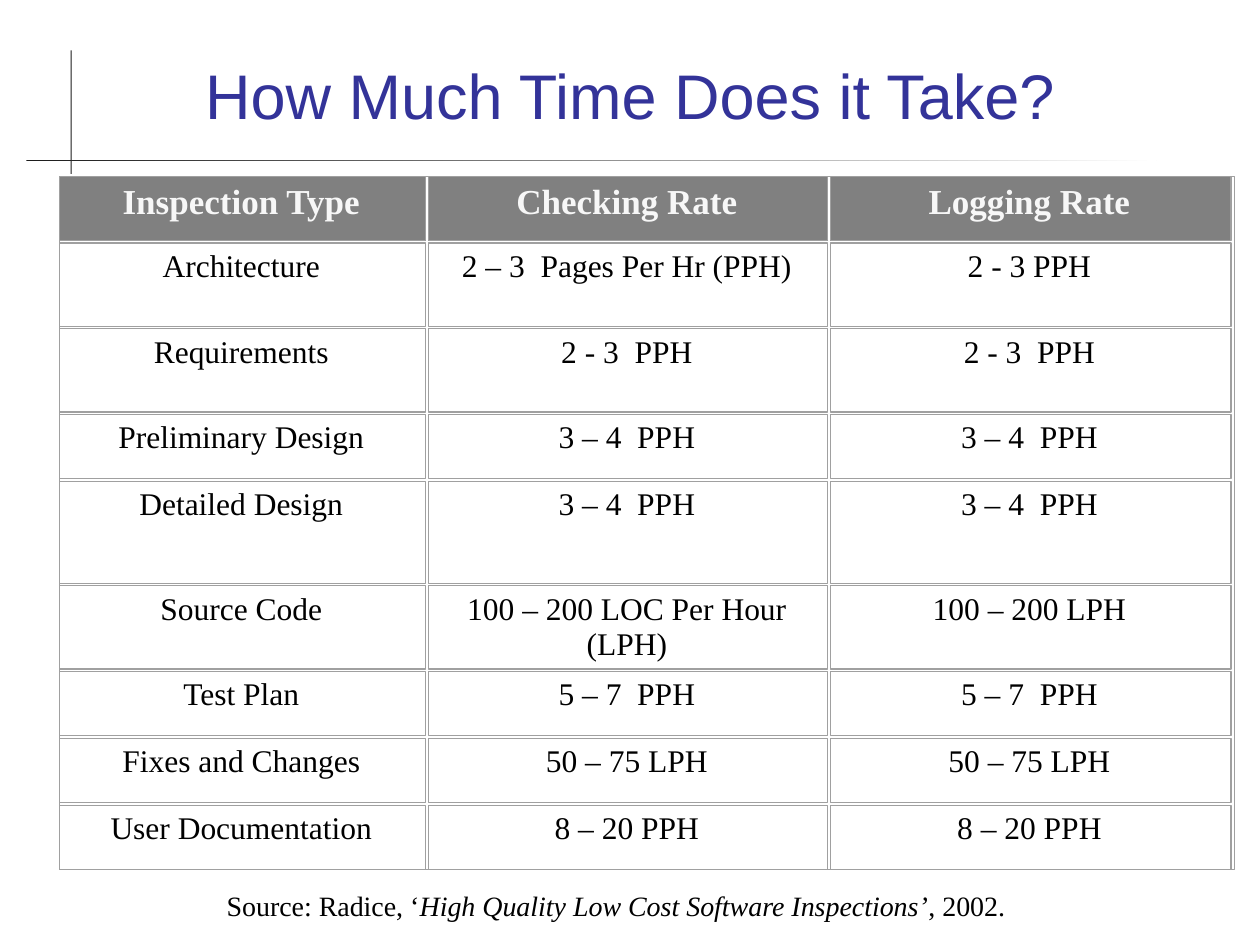
from typing import NamedTuple

from pptx import Presentation
from pptx.dml.color import RGBColor
from pptx.enum.shapes import MSO_SHAPE as Shape
from pptx.enum.text import MSO_ANCHOR as Anchor, MSO_AUTO_SIZE as Fit, PP_ALIGN as Align
from pptx.util import Inches, Pt

NAVY = RGBColor(0x33, 0x33, 0x99)
INK = RGBColor(0x1C, 0x1C, 0x1C)
BLACK = RGBColor(0, 0, 0)
WHITE = RGBColor(0xFF, 0xFF, 0xFF)
PALE = RGBColor(0xF7, 0xF7, 0xF7)
GRAY = RGBColor(0x80, 0x80, 0x80)
EDGE = RGBColor(0xA0, 0xA0, 0xA0)
SANS, SERIF = "Arial", "Times New Roman"

LEFT, TOP, GAP = 0.46, 1.39, 0.02
WIDTHS = (2.93, 3.19, 3.2)


class Row(NamedTuple):
    height: float
    cells: tuple[str, str, str]


class Box(NamedTuple):
    left: float
    top: float
    width: float
    height: float


ROWS = (
    Row(0.53, ("Inspection Type", "Checking Rate", "Logging Rate")),
    Row(0.68, ("Architecture", "2 – 3  Pages Per Hr (PPH)", "2 - 3 PPH")),
    Row(0.68, ("Requirements", "2 - 3  PPH", "2 - 3  PPH")),
    Row(0.53, ("Preliminary Design", "3 – 4  PPH", "3 – 4  PPH")),
    Row(0.83, ("Detailed Design", "3 – 4  PPH", "3 – 4  PPH")),
    Row(0.68, ("Source Code", "100 – 200 LOC Per Hour (LPH)", "100 – 200 LPH")),
    Row(0.53, ("Test Plan", "5 – 7  PPH", "5 – 7  PPH")),
    Row(0.53, ("Fixes and Changes", "50 – 75 LPH", "50 – 75 LPH")),
    Row(0.53, ("User Documentation", "8 – 20 PPH", "8 – 20 PPH")),
)
MARGINS = {"margin_left": Inches(0.2), "margin_right": Inches(0.22),
           "margin_top": Inches(0.06), "margin_bottom": Inches(0.03),
           "vertical_anchor": Anchor.TOP}


def place(box: Box) -> tuple:
    return tuple(Inches(v) for v in box)


def style(font, color: RGBColor, **values) -> None:
    for name, value in values.items():
        setattr(font, name, value)
    font.color.rgb = color


def add_bar(slide, box: Box):
    bar = slide.shapes.add_shape(Shape.RECTANGLE, *place(box))
    bar.shadow.inherit = False
    bar.line.fill.background()
    bar.fill.solid()
    bar.fill.fore_color.rgb = INK
    return bar


def add_frame(slide, box: Box) -> None:
    frame = slide.shapes.add_shape(Shape.RECTANGLE, *place(box))
    frame.shadow.inherit = False
    frame.fill.background()
    frame.line.color.rgb = EDGE
    frame.line.width = Pt(0.75)


def fill_cell(cell, text: str, head: bool) -> None:
    for name, value in MARGINS.items():
        setattr(cell, name, value)
    cell.fill.solid()
    cell.fill.fore_color.rgb = GRAY if head else WHITE
    para = cell.text_frame.paragraphs[0]
    para.alignment = Align.CENTER
    run = para.add_run()
    run.text = text
    style(run.font, PALE if head else BLACK, name=SERIF,
          size=Pt(20 if head else 18), bold=head)


def add_rates(slide) -> None:
    total = Box(LEFT, TOP, sum(WIDTHS), sum(row.height for row in ROWS))
    table = slide.shapes.add_table(len(ROWS), len(WIDTHS), *place(total)).table
    table.first_row = table.horz_banding = False
    for col, width in zip(table.columns, WIDTHS):
        col.width = Inches(width)
    # Each cell gets its own outline, so neighbours show a double rule
    top = TOP
    for r, row in enumerate(ROWS):
        table.rows[r].height = Inches(row.height)
        left = LEFT
        for c, (text, width) in enumerate(zip(row.cells, WIDTHS)):
            fill_cell(table.cell(r, c), text, r == 0)
            add_frame(slide, Box(left + GAP / 2, top + GAP / 2,
                                 width - GAP, row.height - GAP))
            left += width
        top += row.height
    add_frame(slide, Box(LEFT + GAP / 2, TOP + GAP / 2, 9.33, 5.5))


def main() -> None:
    deck = Presentation()
    deck.slide_width, deck.slide_height = Inches(10), Inches(7.5)
    slide = deck.slides.add_slide(deck.slide_layouts[5])

    # Crossed rules behind the title
    add_bar(slide, Box(0.56, 0.4, 0.01, 1.12))
    rule = add_bar(slide, Box(0.21, 1.27, 8.97, 0.01))
    rule.fill.gradient()
    rule.fill.gradient_angle = 0
    for stop, color in zip(rule.fill.gradient_stops, (INK, WHITE)):
        stop.color.rgb = color

    # Title
    title = slide.shapes.title
    title.left, title.top, title.width, title.height = place(Box(0.67, 0.28, 8.66, 0.94))
    frame = title.text_frame
    frame.text = "How Much Time Does it Take?"
    frame.auto_size = Fit.NONE
    frame.vertical_anchor = Anchor.MIDDLE
    frame.paragraphs[0].alignment = Align.CENTER
    style(frame.paragraphs[0].runs[0].font, NAVY, name=SANS, size=Pt(36))

    # Table of rates
    add_rates(slide)

    # Source line
    note = slide.shapes.add_textbox(*place(Box(1.7, 7, 6.43, 0.36))).text_frame
    note.word_wrap = True
    for text, slant in (("Source: Radice, ‘", False),
                        ("High Quality Low Cost Software Inspections’", True),
                        (", 2002.", False)):
        run = note.paragraphs[0].add_run()
        run.text = text
        style(run.font, BLACK, name=SERIF, size=Pt(16), italic=slant)

    deck.save("out.pptx")


if __name__ == "__main__":
    main()
